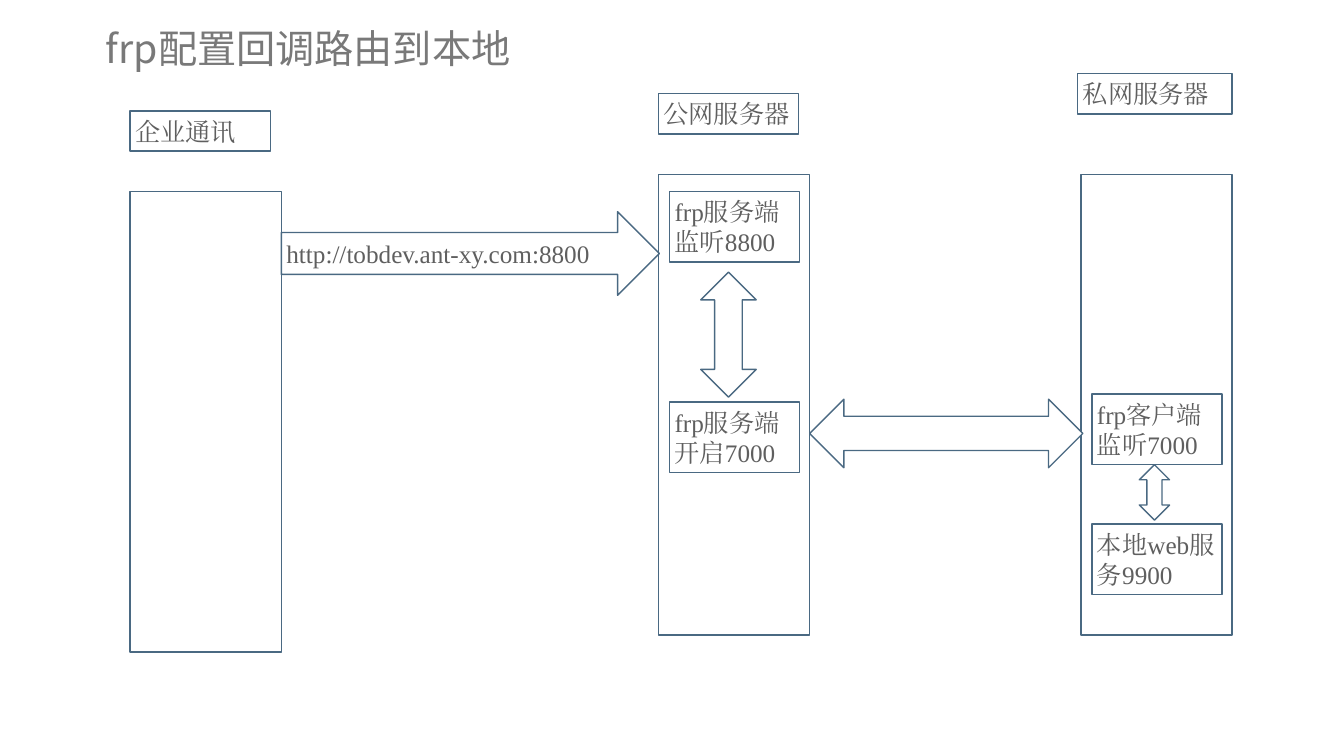
import pptx
import pptx.util
import pptx.dml.color
import pptx.enum.shapes
import pptx.enum.text
import pptx.oxml.ns
import lxml.etree

Inches = pptx.util.Inches
MSO = pptx.enum.shapes.MSO_SHAPE
TEXT = pptx.enum.text


def paint(color, value):
    color.rgb = pptx.dml.color.RGBColor.from_string(value)


def write(sp, text, size, font, color, anchor):
    tf = sp.text_frame
    frame = {"word_wrap": True, "auto_size": TEXT.MSO_AUTO_SIZE.NONE, "vertical_anchor": anchor}
    frame.update({"margin_" + side: Inches(0.05) for side in ("left", "top", "right", "bottom")})
    for name, value in frame.items():
        setattr(tf, name, value)
    p = tf.paragraphs[0]
    p.alignment = TEXT.PP_ALIGN.LEFT
    r = p.add_run()
    r.text = text
    for name, value in {"size": pptx.util.Pt(size), "name": font, "bold": False}.items():
        setattr(r.font, name, value)
    paint(r.font.color, color)
    ea = lxml.etree.SubElement(r.font._element, pptx.oxml.ns.qn("a:ea"))
    ea.set("typeface", font)


prs = pptx.Presentation()
prs.slide_width = Inches(13.33)
prs.slide_height = Inches(7.5)
s = prs.slides.add_slide(prs.slide_layouts[5])

title = s.shapes.title
for name, value in {"left": 1, "top": 0.19, "width": 11.34, "height": 0.57}.items():
    setattr(title, name, Inches(value))
write(title, "frp配置回调路由到本地", 28, "Noto Sans CJK JP", "797979", TEXT.MSO_ANCHOR.TOP)

hosts = [
    ("私网服务器", 10.69, 0.73, 1.53, 10.72, 1.73),
    ("公网服务器", 6.53, 0.93, 1.39, 6.53, 1.73),
    ("企业通讯", 1.29, 1.1, 1.39, 1.29, 1.9),
]
services = [
    ("frp服务端监听8800", MSO.FLOWCHART_PROCESS, 6.64, 1.9),
    ("frp服务端开启7000", MSO.FLOWCHART_PROCESS, 6.64, 3.99),
    ("frp客户端监听7000", MSO.FLOWCHART_PROCESS, 10.83, 3.91),
    ("本地web服务9900", MSO.RECTANGLE, 10.83, 5.2),
]

shapes = []
for label, x, y, w, column_x, column_y in hosts:
    shapes.append((MSO.RECTANGLE, x, y, w, 0.4, label))
    shapes.append((MSO.RECTANGLE, column_x, column_y, 1.5, 4.57, ""))
shapes.append((MSO.RIGHT_ARROW, 2.79, 2.1, 3.75, 0.83, "http://tobdev.ant-xy.com:8800"))
for label, kind, x, y in services:
    shapes.append((kind, x, y, 1.29, 0.7, label))
shapes += [
    (MSO.LEFT_RIGHT_ARROW, 8.03, 3.96, 2.71, 0.68, ""),
    (MSO.UP_DOWN_ARROW, 6.95, 2.7, 0.55, 1.24, ""),
    (MSO.UP_DOWN_ARROW, 11.3, 4.61, 0.3, 0.55, ""),
]

for kind, x, y, w, h, label in shapes:
    sp = s.shapes.add_shape(kind, Inches(x), Inches(y), Inches(w), Inches(h))
    sp.shadow.inherit = False
    sp.fill.solid()
    paint(sp.fill.fore_color, "FFFFFF")
    paint(sp.line.color, "4A6982")
    sp.line.width = pptx.util.Pt(1)
    if label:
        write(sp, label, 18, "Times New Roman", "5F5F5F", TEXT.MSO_ANCHOR.MIDDLE)

prs.save("out.pptx")
